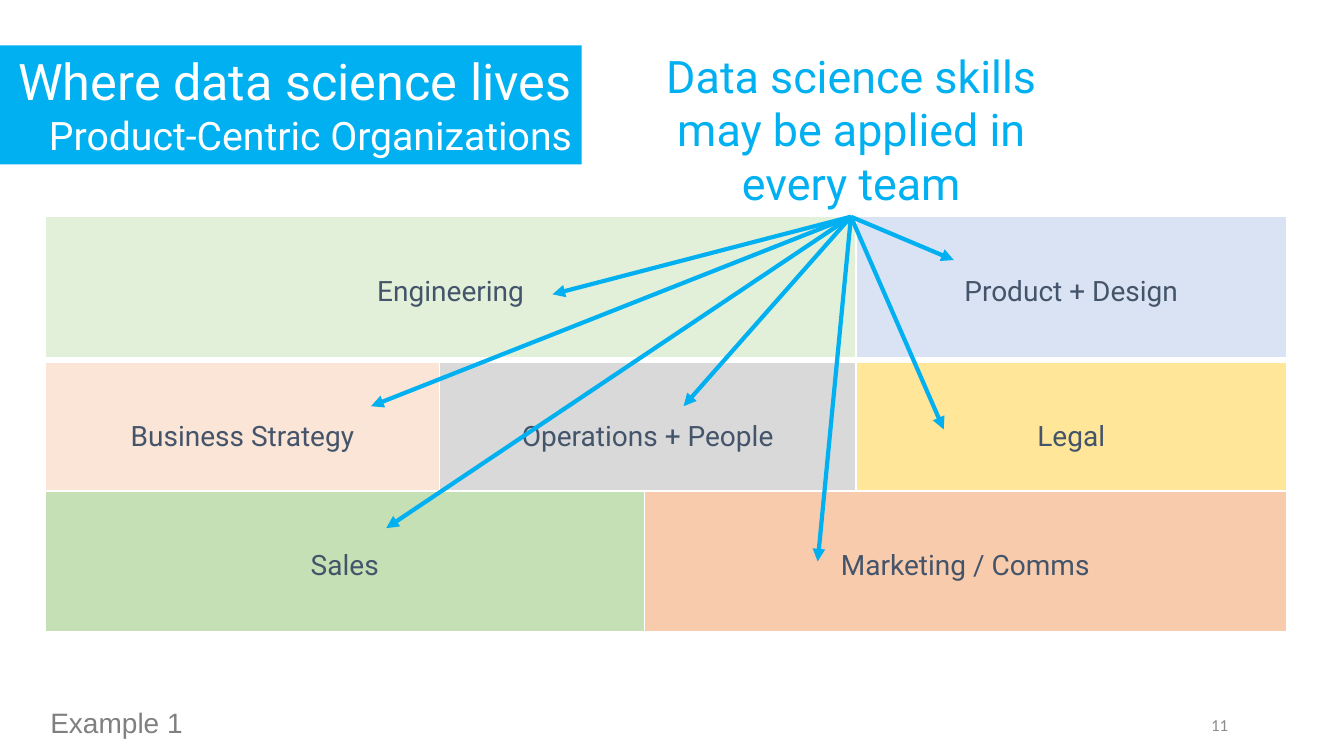
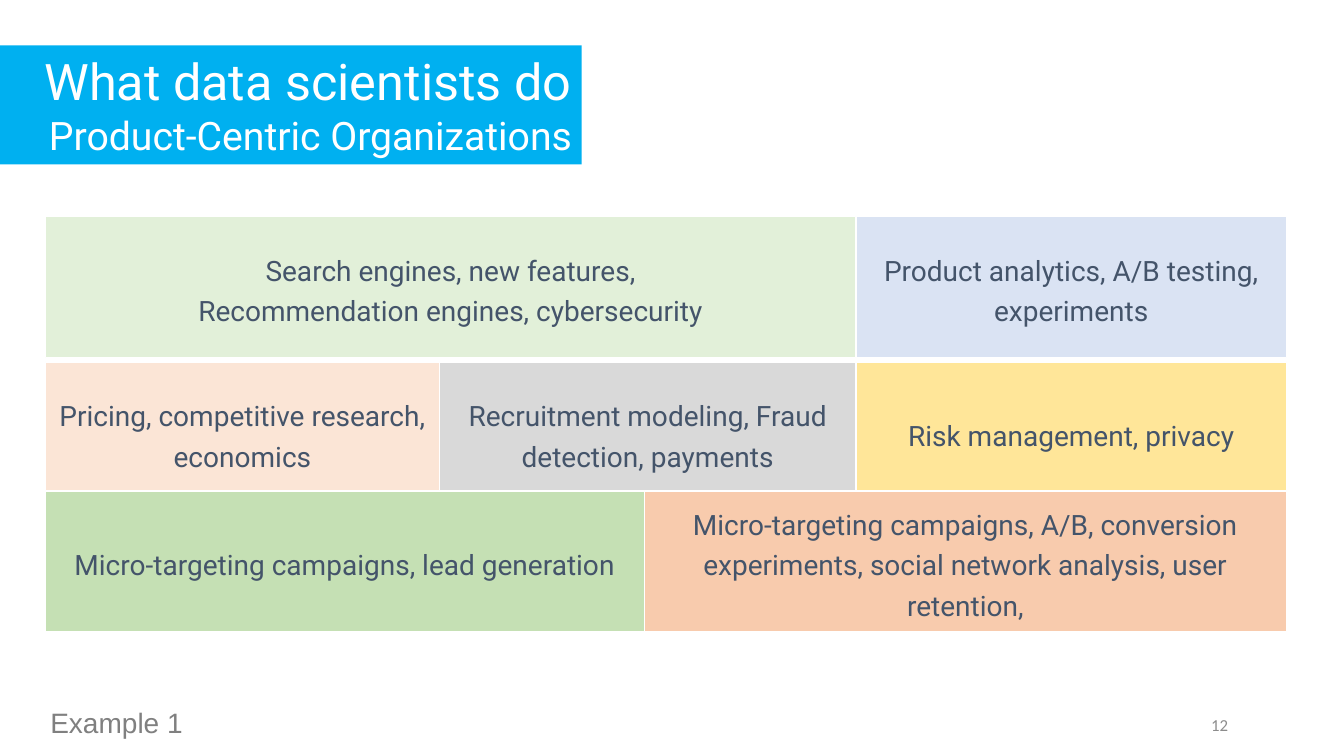
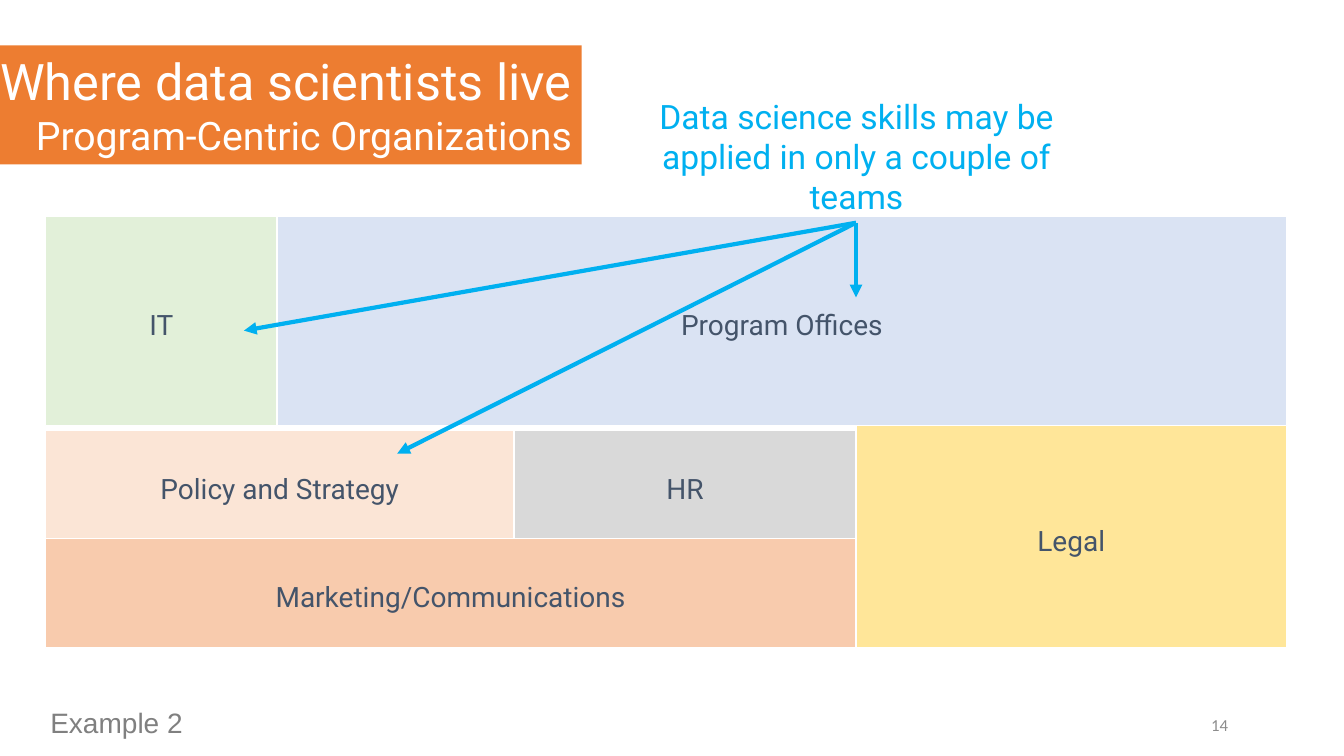
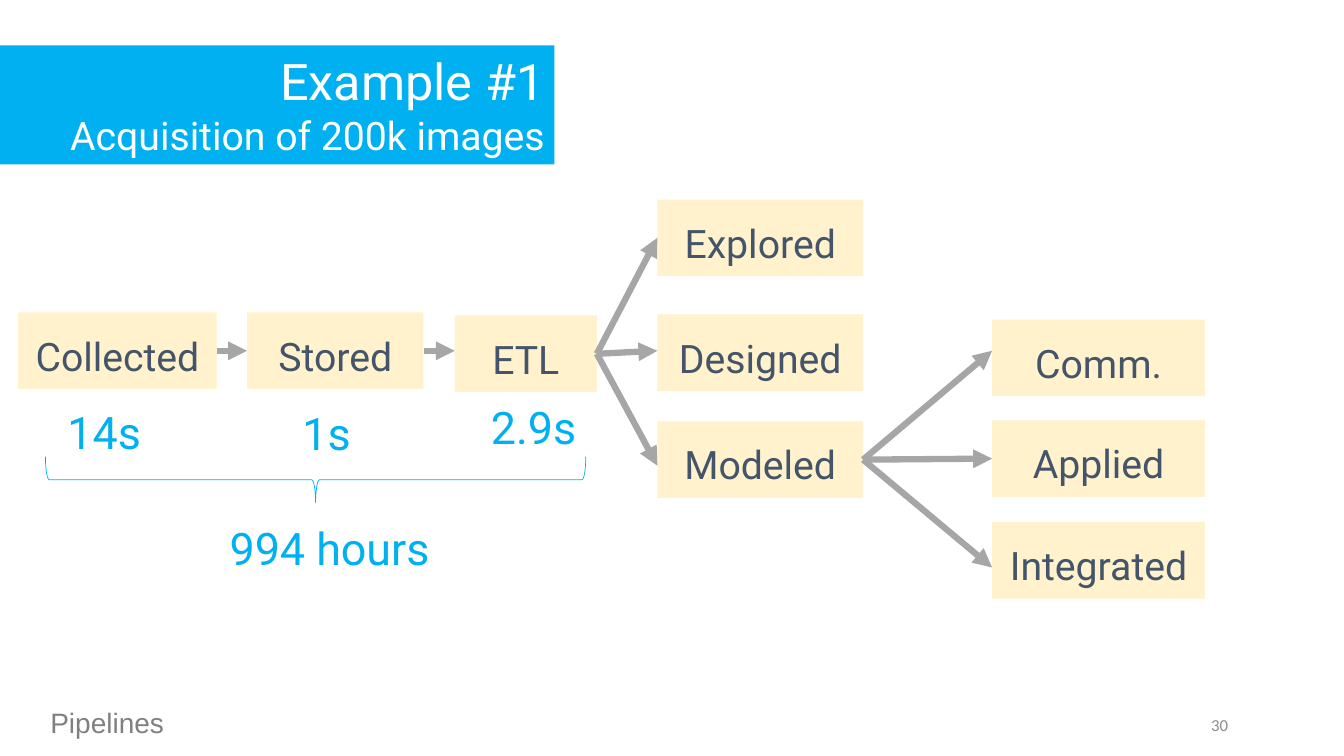
from dataclasses import dataclass
from typing import NamedTuple

from lxml.etree import SubElement
from pptx import Presentation
from pptx.dml.color import RGBColor
from pptx.enum.shapes import MSO_CONNECTOR as Link, MSO_SHAPE as Geo
from pptx.enum.text import MSO_ANCHOR as Anchor, PP_ALIGN as Align
from pptx.oxml.ns import qn
from pptx.shapes.autoshape import Shape
from pptx.slide import Slide
from pptx.util import Emu, Pt

PX = 9144  # one px is a hundredth of an inch


@dataclass(frozen=True)
class Theme:
    blue: str = "00B0F0"
    orange: str = "ED7D31"
    white: str = "FFFFFF"
    ink: str = "44546A"
    foot: str = "808080"
    page: str = "8C8C8C"
    arrow: str = "A6A6A6"
    mint: str = "E2F0D9"
    sky: str = "DAE3F3"
    peach: str = "FBE5D6"
    grey: str = "D9D9D9"
    gold: str = "FFE699"
    leaf: str = "C5E0B4"
    coral: str = "F8CBAD"
    cream: str = "FFF2CC"
    font: str = "Roboto"
    foot_font: str = "Arial"
    page_font: str = "Calibri"
    title: int = 36
    time: int = 32
    step: int = 28
    note: int = 24
    team: int = 20
    small: int = 12


T = Theme()


class Box(NamedTuple):
    x: int
    y: int
    w: int
    h: int


class Point(NamedTuple):
    x: int
    y: int


class Cell(NamedTuple):
    box: Box
    fill: str


class Row(NamedTuple):
    """Cells side by side, given as width and fill."""
    top: int
    height: int
    cells: list[tuple[int, str]]


class Fan(NamedTuple):
    """Arrows that leave one point for several."""
    start: Point
    ends: list[Point]


class Stack(NamedTuple):
    """Equal boxes in a column, given as top and label."""
    left: int
    width: int
    steps: list[tuple[int, str]]


def px(*sizes: int) -> list[Emu]:
    return [Emu(size * PX) for size in sizes]


def tint(code: str) -> RGBColor:
    return RGBColor.from_string(code)


def write(shape: Shape, text: str, *, size: int, color: str, font: str = T.font,
          align: Align = Align.LEFT, anchor: Anchor = Anchor.TOP,
          sub: int | None = None, space: float = 1.0) -> None:
    """Fill a shape with one paragraph per line; sub sizes all after the first."""
    frame = shape.text_frame
    frame.word_wrap = True
    frame.vertical_anchor = anchor
    for i, line in enumerate(text.split("\n")):
        para = frame.add_paragraph() if i else frame.paragraphs[0]
        para.alignment = align
        para.line_spacing = space
        run = para.add_run()
        run.text = line
        run.font.name = font
        run.font.size = Pt(sub if i and sub else size)
        run.font.color.rgb = tint(color)


def label(slide: Slide, box: Box, text: str, **style) -> None:
    write(slide.shapes.add_textbox(*px(*box)), text, **style)


def block(slide: Slide, box: Box, fill: str, edge: str | None = None) -> Shape:
    shape = slide.shapes.add_shape(Geo.RECTANGLE, *px(*box))
    shape.shadow.inherit = False
    shape.fill.solid()
    shape.fill.fore_color.rgb = tint(fill)
    if edge:
        shape.line.color.rgb = tint(edge)
        shape.line.width = Pt(1)
    else:
        shape.line.fill.background()
    return shape


def draw_fan(slide: Slide, fan: Fan, color: str, width: float) -> None:
    for end in fan.ends:
        line = slide.shapes.add_connector(Link.STRAIGHT, *px(*fan.start, *end))
        line.line.color.rgb = tint(color)
        line.line.width = Pt(width)
        SubElement(line.line._get_or_add_ln(), qn("a:tailEnd"), type="triangle")
        SubElement(line._element.spPr, qn("a:effectLst"))


def draw_cells(slide: Slide, cells: list[Cell], texts: list[str]) -> None:
    for cell, text in zip(cells, texts, strict=True):
        shape = block(slide, cell.box, cell.fill, T.white)
        write(shape, text, size=T.team, color=T.ink, align=Align.CENTER,
              anchor=Anchor.MIDDLE, space=1.2)


def draw_stack(slide: Slide, stack: Stack) -> None:
    for top, text in stack.steps:
        shape = block(slide, Box(stack.left, top, stack.width, 76), T.cream)
        write(shape, text, size=T.step, color=T.ink, align=Align.CENTER,
              anchor=Anchor.MIDDLE, space=1.2)


def draw_brace(slide: Slide, box: Box) -> None:
    """Draw a brace that opens upwards over the given area."""
    x = box.x + (box.w - box.h) // 2
    y = box.y + (box.h - box.w) // 2
    brace = slide.shapes.add_shape(Geo.RIGHT_BRACE, *px(x, y, box.h, box.w))
    brace.rotation = 90
    brace.shadow.inherit = False
    brace.fill.background()
    brace.line.color.rgb = tint(T.blue)
    brace.line.width = Pt(0.5)


def lay_out(rows: list[Row]) -> list[Cell]:
    cells = []
    for row in rows:
        left = 45
        for width, fill in row.cells:
            cells.append(Cell(Box(left, row.top, width, row.height), fill))
            left += width
    return cells


def add_page(deck: Presentation, title: str, foot: str, page: int, *,
             fill: str = T.blue, width: int = 617) -> Slide:
    slide = deck.slides.add_slide(deck.slide_layouts[6])
    band = block(slide, Box(-40, 45, width, 118), fill)
    write(band, title, size=T.title, sub=T.step, color=T.white, align=Align.RIGHT)
    label(slide, Box(40, 695, 979, 44), foot, size=T.team, color=T.foot,
          font=T.foot_font)
    label(slide, Box(928, 699, 300, 40), str(page), size=T.small, color=T.page,
          font=T.page_font, align=Align.RIGHT, anchor=Anchor.MIDDLE)
    return slide


PRODUCT = lay_out([
    Row(215, 140, [(804, T.mint), (427, T.sky)]),
    Row(359, 140, [(391, T.peach), (413, T.grey), (427, T.gold)]),
    Row(487, 140, [(594, T.leaf), (637, T.coral)]),
])
PROGRAM = lay_out([
    Row(215, 207, [(230, T.mint), (1001, T.sky)]),
    Row(427, 109, [(465, T.peach), (339, T.grey)]),
    Row(534, 109, [(804, T.coral)]),
]) + [Cell(Box(849, 422, 427, 221), T.gold)]

TEAMS = ["Engineering", "Product + Design", "Business Strategy",
         "Operations + People", "Legal", "Sales", "Marketing / Comms"]
TASKS = ["Search engines, new features,\nRecommendation engines, cybersecurity",
         "Product analytics, A/B testing, experiments",
         "Pricing, competitive research, economics",
         "Recruitment modeling, Fraud detection, payments",
         "Risk management, privacy",
         "Micro-targeting campaigns, lead generation",
         "Micro-targeting campaigns, A/B, conversion experiments, "
         "social network analysis, user retention,"]
OFFICES = ["IT", "Program Offices", "Policy and Strategy", "HR",
           "Marketing/Communications", "Legal"]

EVERY = Fan(Point(844, 215), [
    Point(548, 292), Point(946, 258), Point(678, 403), Point(368, 403),
    Point(936, 426), Point(811, 557), Point(383, 524)])
COUPLE = Fan(Point(849, 221), [Point(849, 295), Point(242, 328), Point(394, 450)])

STACKS = [
    Stack(18, 197, [(310, "Collected")]),
    Stack(245, 175, [(310, "Stored")]),
    Stack(451, 141, [(313, "ETL")]),
    Stack(652, 204, [(198, "Explored"), (312, "Designed"), (418, "Modeled")]),
    Stack(984, 211, [(317, "Comm."), (417, "Applied"), (518, "Integrated")]),
]
FLOWS = [
    Fan(Point(215, 348), [Point(245, 348)]),
    Fan(Point(421, 348), [Point(451, 348)]),
    Fan(Point(592, 351), [Point(652, y) for y in (236, 348, 462)]),
    Fan(Point(856, 456), [Point(984, y) for y in (348, 455, 563)]),
]
TIMES = [(Point(57, 397), "14s"), (Point(290, 398), "1s"), (Point(477, 392), "2.9s")]


def add_teams(deck: Presentation) -> None:
    slide = add_page(deck, "Where data science lives\nProduct-Centric Organizations",
                     "Example 1", 11)
    draw_cells(slide, PRODUCT, TEAMS)
    label(slide, Box(621, 43, 447, 172),
          "Data science skills may be applied in every team",
          size=T.time, color=T.blue, align=Align.CENTER)
    draw_fan(slide, EVERY, T.blue, 3)


def add_tasks(deck: Presentation) -> None:
    slide = add_page(deck, "What data scientists do\nProduct-Centric Organizations",
                     "Example 1", 12)
    draw_cells(slide, PRODUCT, TASKS)


def add_offices(deck: Presentation) -> None:
    slide = add_page(deck, "Where data scientists live\nProgram-Centric Organizations",
                     "Example 2", 14, fill=T.orange)
    draw_cells(slide, PROGRAM, OFFICES)
    label(slide, Box(626, 90, 447, 131),
          "Data science skills may be applied in only a couple of teams",
          size=T.note, color=T.blue, align=Align.CENTER)
    draw_fan(slide, COUPLE, T.blue, 3)


def add_flow(deck: Presentation) -> None:
    slide = add_page(deck, "Example #1\nAcquisition of 200k images",
                     "Pipelines", 30, width=590)
    for stack in STACKS:
        draw_stack(slide, stack)
    for fan in FLOWS:
        draw_fan(slide, fan, T.arrow, 4.5)
    for spot, text in TIMES:
        label(slide, Box(*spot, 118, 64), text, size=T.time, color=T.blue)
    label(slide, Box(175, 512, 304, 64), "994 hours", size=T.time, color=T.blue,
          align=Align.CENTER)
    draw_brace(slide, Box(45, 453, 536, 46))


def main() -> None:
    deck = Presentation()
    deck.slide_width, deck.slide_height = px(1333, 750)
    for add in (add_teams, add_tasks, add_offices, add_flow):
        add(deck)
    deck.save("out.pptx")


if __name__ == "__main__":
    main()
